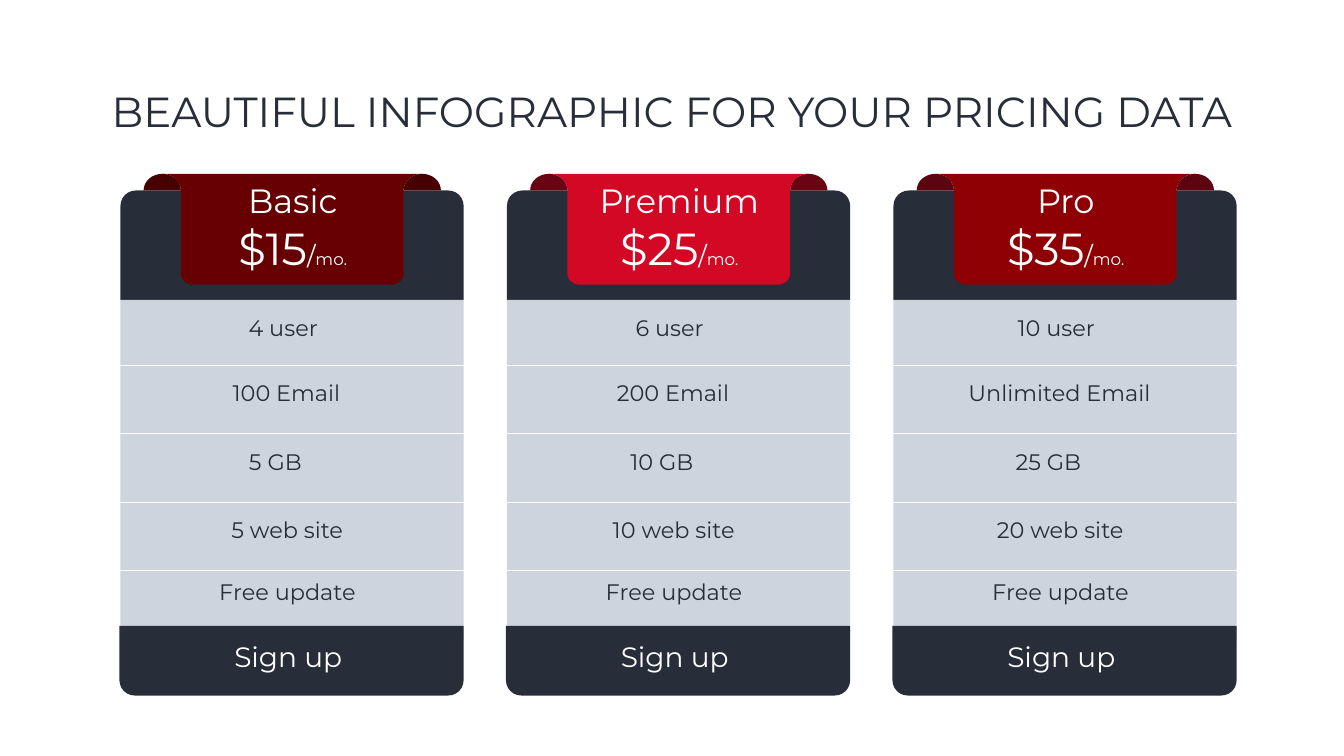
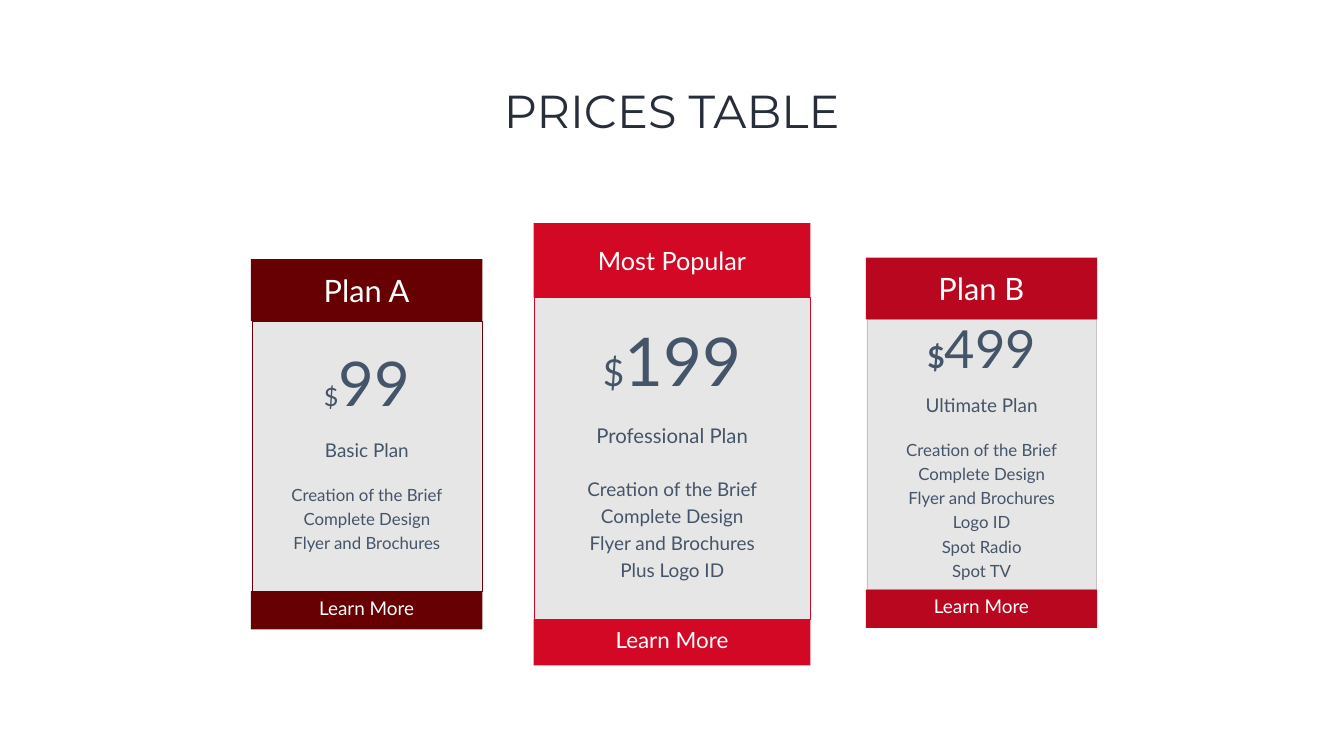
import math
from lxml import etree
from pptx import Presentation, util as u
from pptx.dml.color import RGBColor
from pptx.enum import shapes, text
from pptx.oxml.ns import qn

PX = 9144
NAVY, WHITE, MIST, SILVER, SLATE = "272E3A", "FFFFFF", "CED4DE", "E7E6E6", "445469"
HEADING, READING = "Montserrat", "Lato"
KIND = shapes.MSO_SHAPE

OFFERS = [
    ("Basic", "$15", "660002", "470001",
     ["4 user", "100 Email", "5 GB", "5 web site", "Free update"]),
    ("Premium", "$25", "D20825", "690412",
     ["6 user", "200 Email", "10 GB", "10 web site", "Free update"]),
    ("Pro", "$35", "8E0003", "5C040F",
     ["10 user", "Unlimited Email", "25 GB", "20 web site", "Free update"]),
]
FEATURE_PLACES = [(181, 240, 284), (121, 369, 417), (99, 507, 417),
                  (89, 642, 484), (100, 765, 463)]
COMMON_FEATURES = ["Creation of the Brief", "Complete Design", "Flyer and Brochures"]
PLANS = [
    dict(box=(1059, 443, 549), heights=(147, 639, 91), color="D20825", edge="D20825",
         heading=("Most Popular", 36), price=[("$", 53), ("199", 96)],
         name=("Professional Plan", 29), gaps=(41, 36), feature_size=27,
         features=COMMON_FEATURES + ["Plus Logo ID"], button_size=32),
    dict(box=(498, 514, 459), heights=(123, 536, 76), color="660002", edge="660002",
         heading=("Plan A", 44), price=[("$", 36), ("99", 88)],
         name=("Basic Plan", 27), gaps=(35, 28), feature_size=24,
         features=COMMON_FEATURES, button_size=27),
    dict(box=(1718, 511, 459), heights=(123, 536, 76), color="B9071F", edge="C5C3C3",
         heading=("Plan B", 44), price=[("$", 43, True), ("499", 75)],
         name=("Ultimate Plan", 27), gaps=(27, 28), feature_size=24,
         features=COMMON_FEATURES + ["Logo ID", "Spot Radio", "Spot TV"], button_size=27),
]


def px(*lengths):
    """Turn px lengths into EMU."""
    return [round(length * PX) for length in lengths]


def rgb(color):
    """Turn a hex string into a colour."""
    return RGBColor.from_string(color)


def paint(shape, fill, edge=None):
    """Give a shape a flat fill and an optional thin outline."""
    shape.shadow.inherit = False
    shape.fill.solid()
    shape.fill.fore_color.rgb = rgb(fill)
    if edge:
        shape.line.color.rgb = rgb(edge)
        shape.line.width = u.Pt(0.5)
    else:
        shape.line.fill.background()
    return shape


def add_block(group, kind, box, fill, edge=None):
    """Add a painted preset shape."""
    return paint(group.add_shape(kind, *px(*box)), fill, edge)


def add_outline(group, points, fill):
    """Add a painted closed outline through the points."""
    corners = [px(*point) for point in points]
    builder = group.build_freeform(*corners[0], scale=1.0)
    builder.add_line_segments(corners[1:], close=True)
    return paint(builder.convert_to_shape(), fill)


def write(frame, lines, font, color):
    """Write centred lines, each given as spans, line spacing and space before."""
    frame.word_wrap = True
    for index, (spans, spacing, before) in enumerate(lines):
        para = frame.paragraphs[0] if index == 0 else frame.add_paragraph()
        para.alignment = text.PP_ALIGN.CENTER
        para.line_spacing = spacing
        para.space_before = u.Pt(before)
        for words, size, *bold in spans:
            span = para.add_run()
            span.text = words
            span.font.name = font
            span.font.size = u.Pt(size)
            span.font.bold = bool(bold)
            span.font.color.rgb = rgb(color)


def add_label(page, box, lines, color):
    """Add a text box that grows with its lines."""
    frame = page.shapes.add_textbox(*px(*box)).text_frame
    write(frame, [(spans, 1.0, 0) for spans in lines], HEADING, color)
    frame.auto_size = text.MSO_AUTO_SIZE.SHAPE_TO_FIT_TEXT


def add_page(deck, title, size):
    """Add a slide with the shared title style."""
    page = deck.slides.add_slide(deck.slide_layouts[5])
    holder = page.shapes.title
    holder.left, holder.top, holder.width, holder.height = px(183, 80, 2300, 290)
    frame = holder.text_frame
    frame.auto_size = text.MSO_AUTO_SIZE.NONE
    frame.vertical_anchor = text.MSO_ANCHOR.MIDDLE
    write(frame, [([(title, size)], 0.9, 0)], HEADING, NAVY)
    return page


def arc(center, radii, start, end):
    """Return points along an elliptic arc between two angles in degrees."""
    angles = [math.radians(start + (end - start) * step / 16) for step in range(17)]
    return [(center[0] + radii[0] * math.cos(angle), center[1] + radii[1] * math.sin(angle))
            for angle in angles]


def add_ribbon(page, left, top, front_color, curl_color):
    """Draw a ribbon folded over the top edge of a card."""
    group = page.shapes.add_group_shape().shapes
    width, curl, fold = 590, 37, 33
    half = arc((curl, fold), (curl, fold), -90, 0) + arc((100, 198), (26, 22), 180, 90)
    front = half + [(width - x, y) for x, y in reversed(half)]
    add_outline(group, [(left + x, top + y) for x, y in front], front_color)
    for center in (left + curl, left + width - curl):
        add_outline(group, arc((center, top + fold), (curl, fold), 180, 360), curl_color)


def add_divider(page, left, top, width):
    """Draw a thin white line across a card."""
    line = page.shapes.add_connector(shapes.MSO_CONNECTOR.STRAIGHT,
                                     *px(left + width, top, left, top))
    line.line.color.rgb = rgb(WHITE)
    line.line.width = u.Pt(0.75)
    etree.SubElement(line._element.spPr, qn("a:effectLst"))


def add_offer_card(page, left, top, offer):
    """Draw one pricing card with its ribbon, features and button."""
    name, price, front_color, curl_color, features = offer
    width = 681
    header = add_block(page.shapes, KIND.ROUND_2_SAME_RECTANGLE,
                       (left, top, width, 217), NAVY)
    header.adjustments[0] = 0.14
    add_block(page.shapes, KIND.RECTANGLE, (left, top + 217, width, 675), MIST)
    for row in range(4):
        add_divider(page, left, top + 346 + 136 * row, width)
    button = add_block(page.shapes, KIND.ROUND_2_SAME_RECTANGLE,
                       (left - 2, top + 864, width + 2, 138), NAVY)
    button.adjustments[0], button.adjustments[1] = 0, 0.22
    add_ribbon(page, left + 46, top - 33, front_color, curl_color)
    add_label(page, (left + 128, top - 25, 428, 199),
              [[(name, 48)], [(price, 64), ("/", 36), ("mo.", 24)]], WHITE)
    for feature, (x, y, label_width) in zip(features, FEATURE_PLACES):
        add_label(page, (left + x, top + y, label_width, 64), [[(feature, 32)]], NAVY)
    add_label(page, (left + 75, top + 886, 516, 77), [[("Sign up", 40)]], WHITE)


def add_plan(page, plan):
    """Draw one plan as a heading band, a detail panel and a button band."""
    group = page.shapes.add_group_shape().shapes
    left, top, width = plan["box"]
    heading_height, panel_height, button_height = plan["heights"]
    panel_top = top + heading_height
    panel = add_block(group, KIND.RECTANGLE, (left + 2, panel_top, width - 3, panel_height),
                      SILVER, plan["edge"])
    name_gap, feature_gap = plan["gaps"]
    lines = [(plan["price"], 0.8, 0), ([plan["name"]], 0.8, name_gap)]
    for index, feature in enumerate(plan["features"]):
        before = 0 if index else feature_gap
        lines.append(([(feature, plan["feature_size"])], 1.2, before))
    write(panel.text_frame, lines, READING, SLATE)
    heading = add_block(group, KIND.RECTANGLE, (left, top, width, heading_height),
                        plan["color"])
    write(heading.text_frame, [([plan["heading"]], 1.0, 0)], READING, WHITE)
    button = add_block(group, KIND.RECTANGLE,
                       (left, panel_top + panel_height, width, button_height), plan["color"])
    button.text_frame.margin_top, button.text_frame.margin_bottom = px(0, 10)
    write(button.text_frame, [([("Learn More", plan["button_size"])], 1.0, 0)],
          READING, WHITE)
    for band in (panel, heading, button):
        band.text_frame.vertical_anchor = text.MSO_ANCHOR.MIDDLE


def main():
    """Build and save the deck."""
    deck = Presentation()
    deck.slide_width, deck.slide_height = px(2667, 1500)
    page = add_page(deck, "BEAUTIFUL INFOGRAPHIC FOR YOUR PRICING DATA", 60)
    for column, offer in enumerate(OFFERS):
        add_offer_card(page, 239 + 767 * column, 378, offer)
    page = add_page(deck, "PRICES TABLE", 66)
    for plan in PLANS:
        add_plan(page, plan)
    deck.save("out.pptx")


if __name__ == "__main__":
    main()
